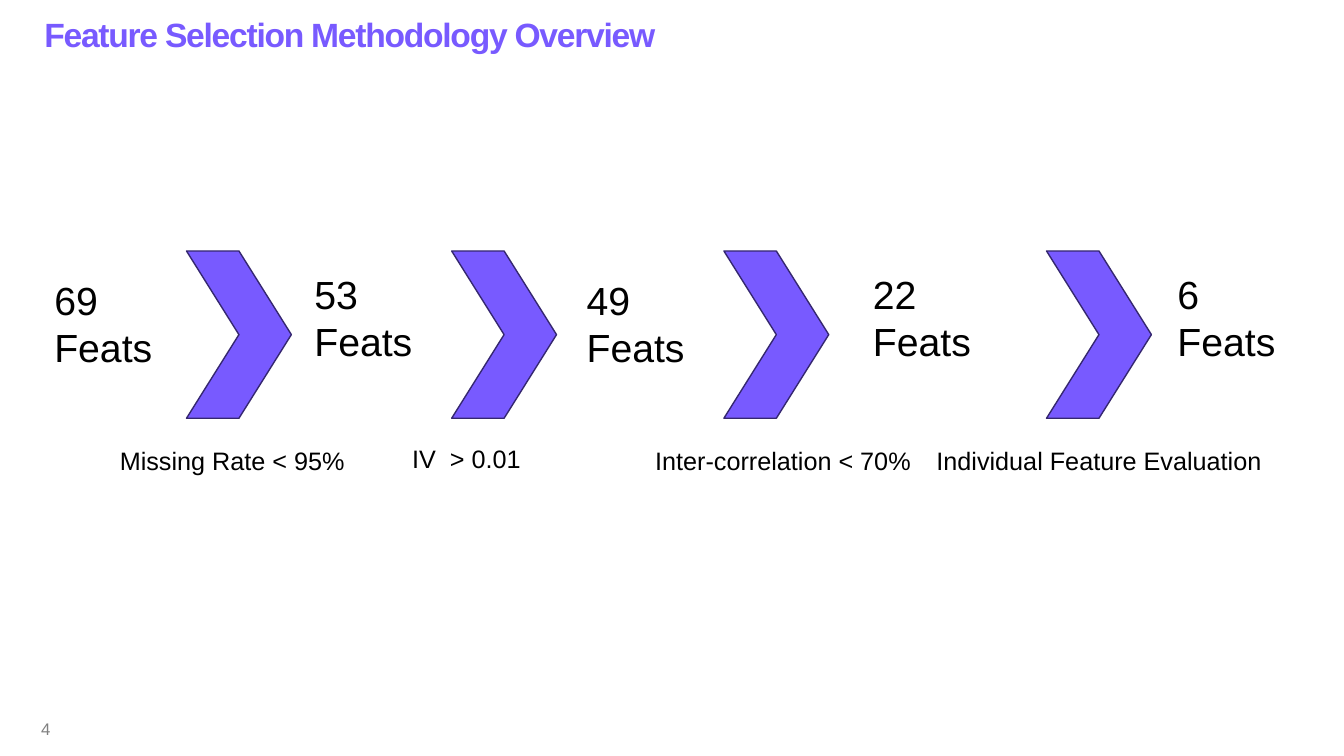
import pptx
import pptx.util
import pptx.dml.color
import pptx.enum.shapes
import pptx.enum.text

Inches = pptx.util.Inches
Pt = pptx.util.Pt
Align = pptx.enum.text.PP_ALIGN
Anchor = pptx.enum.text.MSO_ANCHOR

COLOURS = {
    "violet": "785AFF",
    "outline": "352770",
    "text": "000000",
    "number": "808080",
}
FONT = "Arial"

# Offsets inside the flow region: left, top, feature count
COUNTS = [
    (0, 0.2, 69),
    (2.58, 0.14, 53),
    (5.28, 0.2, 49),
    (8.12, 0.14, 22),
    (11.14, 0.14, 6),
]
# Chevron left; criterion left, top, width, wording, alignment
FILTERS = [
    (1.41, 0.65, 1.88, 2.72, "Missing Rate < 95%", Align.LEFT),
    (4.04, 3.55, 1.86, 2.91, "IV  > 0.01", Align.LEFT),
    (6.74, 5.96, 1.88, 3.24, "Inter-correlation < 70%", Align.LEFT),
    (9.94, 8.71, 1.88, 3.5, "Individual Feature Evaluation", Align.CENTER),
]


def colour(name):
    return pptx.dml.color.RGBColor.from_string(COLOURS[name])


def style(para, size, colour_name, bold=False):
    para.font.name = FONT
    para.font.size = Pt(size)
    para.font.bold = bold
    para.font.color.rgb = colour(colour_name)


def add_label(page, left, top, width, height, text, size,
              colour_name="text", align=Align.LEFT):
    box = page.shapes.add_textbox(
        Inches(left), Inches(top), Inches(width), Inches(height))
    frame = box.text_frame
    frame.word_wrap = True
    frame.text = text
    for para in frame.paragraphs:
        para.alignment = align
        style(para, size, colour_name)
    return frame


def add_title(page, left, top, width, height):
    title = page.shapes.title
    title.left, title.top = Inches(left), Inches(top)
    title.width, title.height = Inches(width), Inches(height)
    frame = title.text_frame
    frame.word_wrap = True
    frame.auto_size = pptx.enum.text.MSO_AUTO_SIZE.NONE
    frame.vertical_anchor = Anchor.TOP
    frame.margin_left = frame.margin_right = 0
    frame.margin_top = frame.margin_bottom = Inches(0.1)
    frame.text = "Feature Selection Methodology Overview"
    para = frame.paragraphs[0]
    para.alignment = Align.LEFT
    para.line_spacing = 1.1
    style(para, 24, "violet", bold=True)
    para.runs[0]._r.get_or_add_rPr().set("spc", "-90")


def add_chevron(page, left, top, width, height):
    chevron = page.shapes.add_shape(
        pptx.enum.shapes.MSO_SHAPE.CHEVRON,
        Inches(left), Inches(top), Inches(width), Inches(height))
    chevron.shadow.inherit = False
    chevron.fill.solid()
    chevron.fill.fore_color.rgb = colour("violet")
    chevron.line.color.rgb = colour("outline")
    chevron.line.width = Pt(1)


def add_flow(page, left, top):
    """Place the feature counts, with a chevron and criterion between them."""
    for chevron_x, text_x, text_y, width, wording, align in FILTERS:
        add_chevron(page, left + chevron_x, top, 1.04, 1.66)
        add_label(page, left + text_x, top + text_y, width, 0.4,
                  wording, 18, align=align)
    for count_x, count_y, count in COUNTS:
        add_label(page, left + count_x, top + count_y, 1.59, 1.04,
                  f"{count}\nFeats", 28)


def add_page_number(page, left, top, width, height):
    frame = add_label(page, left, top, width, height, "4", 12, "number")
    frame.vertical_anchor = Anchor.MIDDLE
    frame.paragraphs[0].space_after = Pt(6)


def main():
    deck = pptx.Presentation()
    deck.slide_width, deck.slide_height = Inches(13.33), Inches(7.5)
    page = deck.slides.add_slide(deck.slide_layouts.get_by_name("Title Only"))
    add_title(page, 0.44, 0, 12.48, 0.92)
    add_flow(page, 0.44, 2.49)
    add_page_number(page, 0.31, 7.03, 3, 0.4)
    deck.save("out.pptx")


if __name__ == "__main__":
    main()
